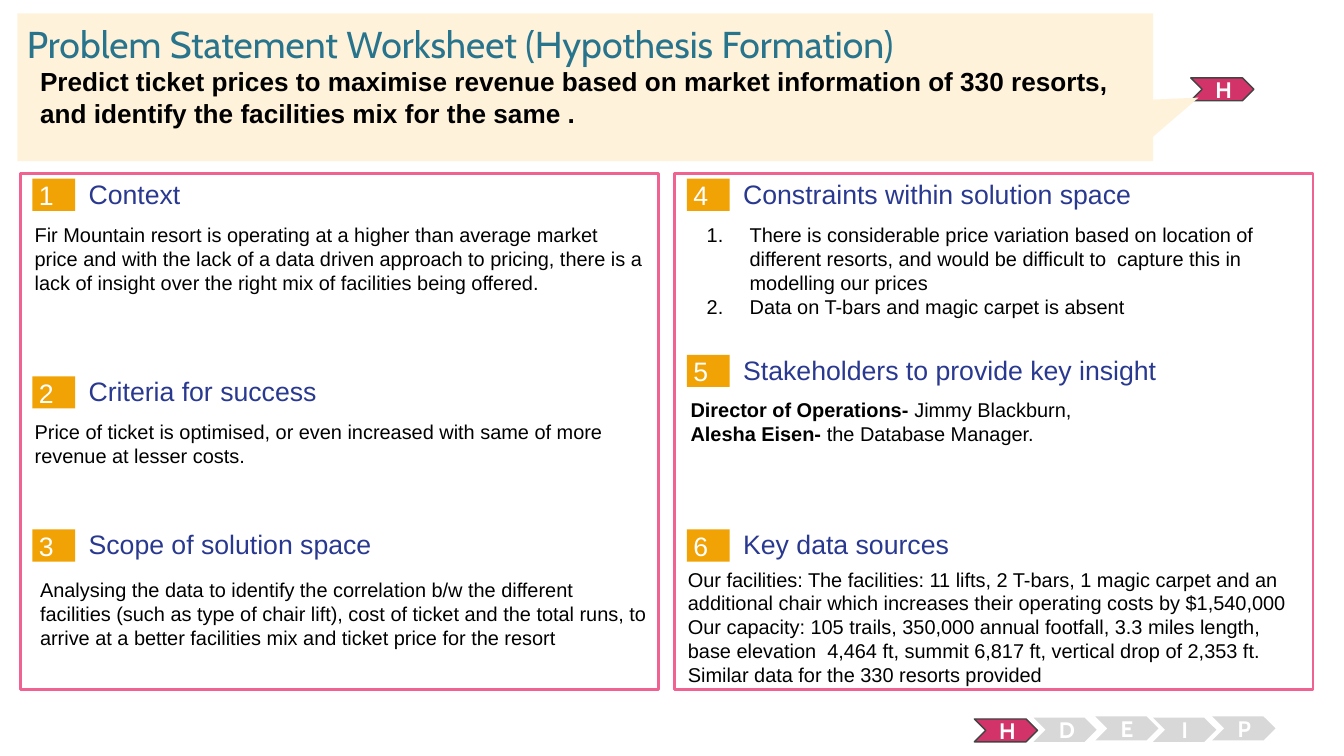
"""Build the problem statement worksheet slide."""
import pptx
import pptx.util
import pptx.dml.color
import pptx.enum.shapes
import pptx.enum.text
import pptx.oxml.ns
from lxml import etree

SHAPE = pptx.enum.shapes.MSO_SHAPE
ANCHOR = pptx.enum.text.MSO_ANCHOR
ALIGN = pptx.enum.text.PP_ALIGN
SLIDE_WIDTH = 10
SLIDE_HEIGHT = SLIDE_WIDTH * 9 / 16
COLUMN_LEFT, COLUMN_STEP = 0.15, 4.87
PANEL_TOP, PANEL_WIDTH, PANEL_HEIGHT = 1.29, 4.75, 3.84
PLAIN_INSETS = (0.1, 0.05, 0.1, 0.05)

# Column, tag top, heading, body indent, body drop, body height, numbered, paragraphs of (text, bold)
SECTIONS = [
    (0, 1.33, "Context", 0.01, 0.28, 1.02, False, [
        [("Fir Mountain resort is operating at a higher than average market price and with the lack of "
          "a data driven approach to pricing, there is a lack of insight over the right mix of "
          "facilities being offered.", False)]]),
    (0, 2.8, "Criteria for success", 0.01, 0.27, 1.16, False, [
        [("Price of ticket is optimised, or even increased with same of more revenue at lesser costs.",
          False)]]),
    (0, 3.94, "Scope of solution space", 0.05, 0.31, 0.62, False, [
        [("Analysing the data to identify the correlation b/w the different facilities (such as type "
          "of chair lift), cost of ticket and the total runs, to arrive at a better facilities mix and "
          "ticket price for the resort", False)]]),
    (1, 1.33, "Constraints within solution space", -0.04, 0.28, 0.89, True, [
        [("There is considerable price variation based on location of different resorts, and would be "
          "difficult to  capture this in modelling our prices", False)],
        [("Data on T-bars and magic carpet is absent", False)]]),
    (1, 2.64, "Stakeholders to provide key insight", 0.02, 0.27, 0.89, False, [
        [("Director of Operations- ", True), ("Jimmy Blackburn,", False)],
        [("Alesha Eisen-", True), (" the Database Manager.", False)]]),
    (1, 3.94, "Key data sources", 0, 0.23, 0.89, False, [
        [("Our facilities: The facilities: 11 lifts, 2 T-bars, 1 magic carpet and an additional chair "
          "which increases their operating costs by $1,540,000", False)],
        [("Our capacity: 105 trails, 350,000 annual footfall, 3.3 miles length, base elevation  4,464 "
          "ft, summit 6,817 ft, vertical drop of 2,353 ft. Similar data for the 330 resorts provided",
          False)]]),
]
STAGES = [("H", 7.25, 5.35), ("D", 7.69, 5.34), ("E", 8.15, 5.33), ("I", 8.58, 5.34), ("P", 9.02, 5.33)]


def colour(hex_code):
    """Turn a hex string into a colour."""
    return pptx.dml.color.RGBColor.from_string(hex_code)


def inches(*lengths):
    """Turn numbers into lengths in inches."""
    return [pptx.util.Inches(length) for length in lengths]


def write(box, paragraphs, size, ink, font="Arial", insets=PLAIN_INSETS, anchor=ANCHOR.TOP, align=ALIGN.LEFT):
    """Fill a box with paragraphs made of (text, bold) runs."""
    frame = box.text_frame
    frame.word_wrap = True
    frame.vertical_anchor = anchor
    frame.margin_left, frame.margin_top, frame.margin_right, frame.margin_bottom = inches(*insets)
    for index, runs in enumerate(paragraphs):
        para = frame.paragraphs[0] if index == 0 else frame.add_paragraph()
        para.alignment = align
        for text, bold in runs:
            span = para.add_run()
            span.text = text
            span.font.name = font
            span.font.size = pptx.util.Pt(size)
            span.font.bold = bold
            span.font.color.rgb = colour(ink)


def add_text(page, place, paragraphs, size, ink, **style):
    """Add a text box."""
    box = page.shapes.add_textbox(*inches(*place))
    write(box, paragraphs, size, ink, **style)
    return box


def add_block(page, kind, place, fill, line=None, weight=0.75):
    """Add a filled preset shape, outlined if a line colour is given."""
    block = page.shapes.add_shape(kind, *inches(*place))
    block.shadow.inherit = False
    block.fill.solid()
    block.fill.fore_color.rgb = colour(fill)
    if line:
        block.line.color.rgb = colour(line)
        block.line.width = pptx.util.Pt(weight)
    else:
        block.line.fill.background()
    return block


def add_stage(page, letter, left, top, active):
    """Add one lettered chevron of the process."""
    place = (left, top, 0.47, 0.17 if active else 0.18)
    chevron = add_block(page, SHAPE.CHEVRON, place, "D23369" if active else "D8D8D8",
                        "434343" if active else None)
    write(chevron, [[(letter, True)]], 12, "FFFFFF", font="Cabin", anchor=ANCHOR.MIDDLE, align=ALIGN.CENTER)


def number_paragraphs(box):
    """Number the paragraphs of a box with a hanging indent."""
    for para in box.text_frame.paragraphs:
        properties = para._p.get_or_add_pPr()
        properties.set("marL", str(pptx.util.Inches(0.5)))
        properties.set("indent", str(pptx.util.Inches(-0.32)))
        etree.SubElement(properties, pptx.oxml.ns.qn("a:buAutoNum"), type="arabicPeriod")


def add_section(page, number, column, top, heading, indent, drop, height, numbered, paragraphs):
    """Add a numbered tag, its heading and its body."""
    left = COLUMN_LEFT + column * COLUMN_STEP
    tag = add_block(page, SHAPE.RECTANGLE, (left + 0.09, top, 0.32, 0.24), "F1A205")
    write(tag, [[(str(number), False)]], 14.3, "FFFFFF", insets=(0.05,) * 4, anchor=ANCHOR.MIDDLE)
    add_text(page, (left + 0.51, top + 0.02, 3.93, 0.18), [[(heading, False)]], 14.3, "2A3990",
             insets=(0,) * 4, anchor=ANCHOR.MIDDLE)
    body = add_text(page, (left + indent, top + drop, 4.73, height), paragraphs, 10.7, "000000")
    if numbered:
        number_paragraphs(body)


def add_banner(page):
    """Add the callout with the title and the problem statement."""
    callout = add_block(page, SHAPE.RECTANGULAR_CALLOUT, (0.13, 0.1, 8.45, 1.1), "FEF2DA")
    callout.adjustments[0], callout.adjustments[1] = 0.54, 0.07
    add_text(page, (0.2, 0.16, 9.62, 0.25), [[("Problem Statement Worksheet (Hypothesis Formation)", False)]],
             20, "29748D", font="Cabin", insets=(0,) * 4)
    add_text(page, (0.2, 0.44, 9.36, 0.75), [
        [("Predict ticket prices to maximise revenue based on market information of 330 resorts,", True)],
        [("and identify the facilities mix for the same .", True)]], 14, "000000")


def main():
    """Build and save the deck."""
    deck = pptx.Presentation()
    deck.slide_width, deck.slide_height = inches(SLIDE_WIDTH, SLIDE_HEIGHT)
    page = deck.slides.add_slide(deck.slide_layouts[6])
    for column in range(2):
        place = (COLUMN_LEFT + column * COLUMN_STEP, PANEL_TOP, PANEL_WIDTH, PANEL_HEIGHT)
        add_block(page, SHAPE.RECTANGLE, place, "FFFFFF", "F06292", 1.5)
    for number, section in enumerate(SECTIONS, 1):
        add_section(page, number, *section)
    for letter, left, top in STAGES:
        add_stage(page, letter, left, top, letter == "H")
    add_stage(page, "H", 8.86, 0.58, True)
    add_banner(page)
    deck.save("out.pptx")


if __name__ == "__main__":
    main()
